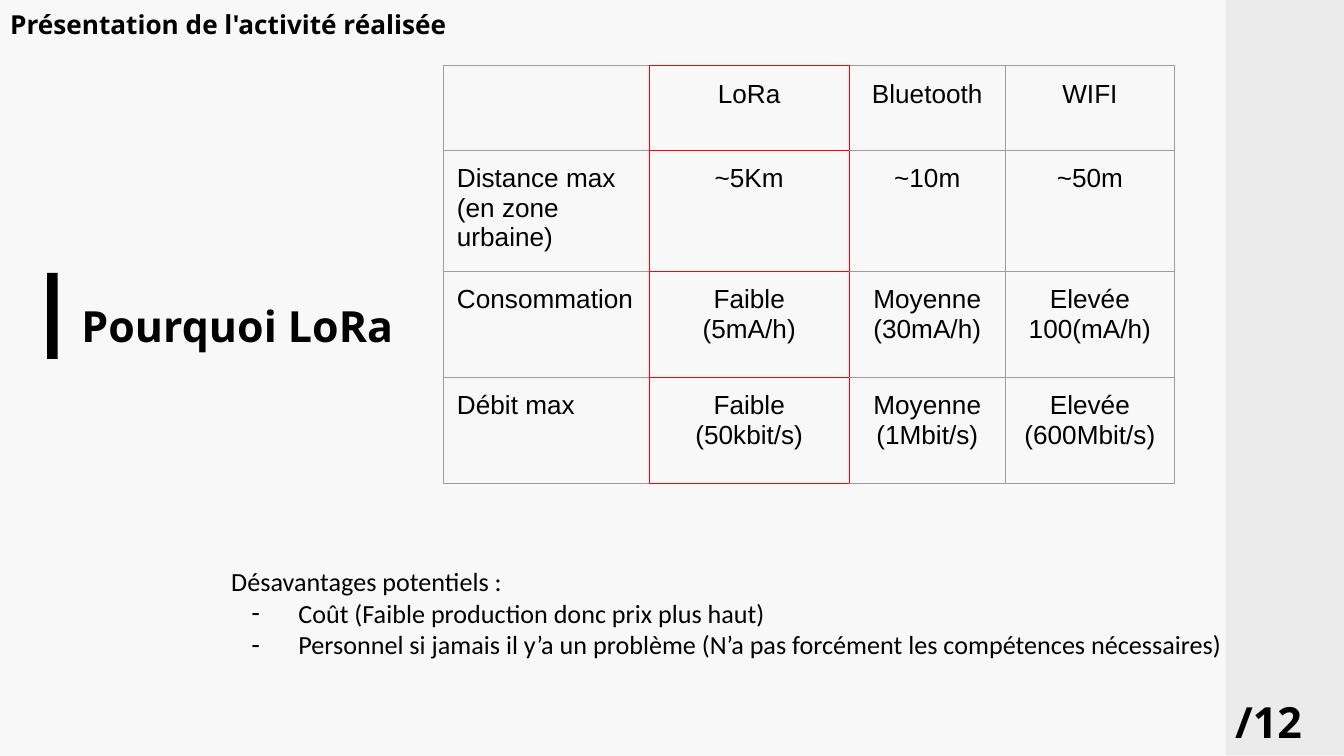
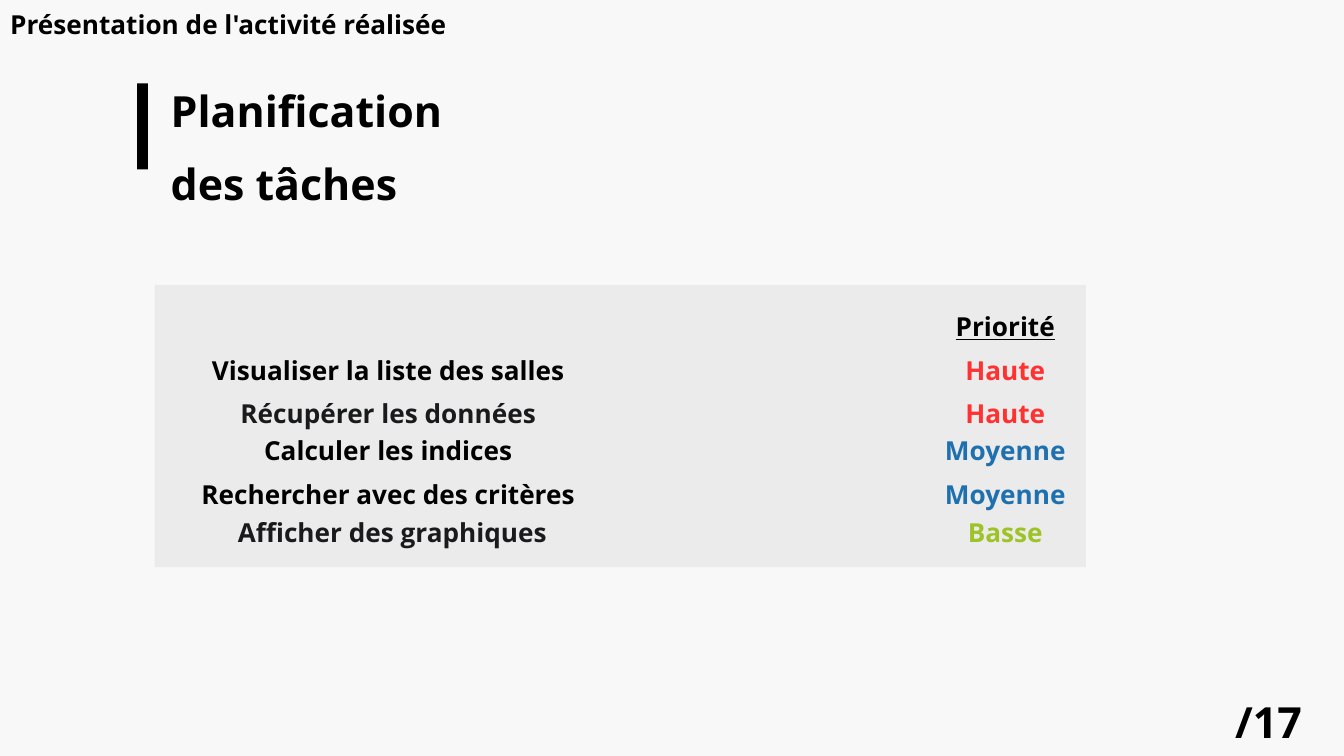
from dataclasses import dataclass
from typing import Optional

from lxml import etree
from pptx import Presentation
from pptx.dml.color import RGBColor
from pptx.enum.shapes import MSO_SHAPE
from pptx.enum.text import MSO_ANCHOR, MSO_AUTO_SIZE, PP_ALIGN
from pptx.oxml.ns import qn
from pptx.util import Inches, Pt

RECT = MSO_SHAPE.RECTANGLE
TOP = MSO_ANCHOR.TOP
GROW = MSO_AUTO_SIZE.SHAPE_TO_FIT_TEXT
LEFT, CENTER, RIGHT = PP_ALIGN.LEFT, PP_ALIGN.CENTER, PP_ALIGN.RIGHT

PAPER = RGBColor(0xF8, 0xF8, 0xF8)
BLACK = RGBColor(0x00, 0x00, 0x00)
INK = RGBColor(0x18, 0x1A, 0x1B)
GREY = RGBColor(0x9E, 0x9E, 0x9E)
RED = RGBColor(0xFF, 0x00, 0x00)
HIGH = RGBColor(0xFF, 0x31, 0x31)
MEDIUM = RGBColor(0x1E, 0x70, 0xAF)
LOW = RGBColor(0x9E, 0xC3, 0x27)

HEAD_FONT, TABLE_FONT, LIST_FONT = "Open Sans", "Arial", "Calibri"
TITLE_SIZE, TEXT_SIZE = 23, 14
TITLE_CONTENT, TITLE_ONLY = 1, 5
SLIDE_WIDTH = Inches(10)
SLIDE_HEIGHT = SLIDE_WIDTH * 9 // 16


@dataclass(frozen=True)
class Box:
    left: float
    top: float
    width: float
    height: float


@dataclass(frozen=True)
class Line:
    text: str
    color: RGBColor = BLACK


@dataclass(frozen=True)
class TaskGroup:
    tasks: tuple[Line, ...]
    priority: Line
    top: float
    left: float = 0.81


HEADING = Box(0, -0.03, 3.4, 0.24)
PAGE = Box(9.19, 5.02, 0.5, 0.39)
SIDE_BAND = Box(9.12, 0, 0.88, 5.62)
TASK_PANEL = Box(1.15, 2.12, 6.93, 2.1)
PRIORITY_LEFT, TASK_WIDTH = 5.4, 4.16

COLUMNS = (1.53, 1.49, 1.16, 1.26)
ROWS = (0.63, 0.63, 0.79, 0.79)
LORA = 1
COMPARISON = (
    ("", "LoRa", "Bluetooth", "WIFI"),
    ("Distance max (en zone urbaine)", "~5Km", "~10m", "~50m"),
    ("Consommation", "Faible\n(5mA/h)", "Moyenne\n(30mA/h)", "Elevée\n100(mA/h)"),
    ("Débit max", "Faible\n(50kbit/s)", "Moyenne\n(1Mbit/s)", "Elevée\n(600Mbit/s)"),
)
DRAWBACKS = (
    "Désavantages potentiels :",
    "Coût (Faible production donc prix plus haut)",
    "Personnel si jamais il y’a un problème (N’a pas forcément les compétences nécessaires)",
)
TASK_GROUPS = (
    TaskGroup((Line("Visualiser la liste des salles"), Line("Récupérer les données", INK)),
              Line("Haute", HIGH), 2.54),
    TaskGroup((Line("Calculer les indices"), Line("Rechercher avec des critères")),
              Line("Moyenne", MEDIUM), 3.14),
    TaskGroup((Line("Afficher des graphiques", INK),), Line("Basse", LOW), 3.75, 0.84),
)


def place(sp, box: Box) -> None:
    sp.left, sp.top = Inches(box.left), Inches(box.top)
    sp.width, sp.height = Inches(box.width), Inches(box.height)


def write_text(tf, lines, *, font: str = HEAD_FONT, size: float = TEXT_SIZE,
               bold: bool = True, underline: bool = False, align=CENTER,
               spacing: float = 1.4) -> None:
    for i, line in enumerate(lines):
        p = tf.add_paragraph() if i else tf.paragraphs[0]
        p.alignment, p.line_spacing = align, spacing
        p.space_before = p.space_after = Pt(0)
        r = p.add_run()
        r.text = line.text
        r.font.name, r.font.size, r.font.bold = font, Pt(size), bold
        r.font.color.rgb = line.color
        if underline:
            r.font.underline = True


def set_frame(tf, margin: float = 0) -> None:
    tf.word_wrap, tf.auto_size, tf.vertical_anchor = True, GROW, TOP
    tf.margin_left = tf.margin_right = Inches(margin)
    tf.margin_top = tf.margin_bottom = Inches(margin)


def add_text(s, box: Box, *lines: Line, **fmt) -> None:
    sp = s.shapes.add_textbox(0, 0, 0, 0)
    place(sp, box)
    set_frame(sp.text_frame)
    write_text(sp.text_frame, lines, **fmt)


def add_rect(s, box: Box, alpha: Optional[int] = None, rotation: float = 0) -> None:
    sp = s.shapes.add_shape(RECT, 0, 0, 0, 0)
    place(sp, box)
    sp.rotation = rotation
    sp.shadow.inherit = False
    sp.fill.solid()
    sp.fill.fore_color.rgb = BLACK
    sp.line.fill.background()
    if alpha is not None:
        color = sp.fill._xPr.find(f"{qn('a:solidFill')}/{qn('a:srgbClr')}")
        etree.SubElement(color, qn("a:alpha"), val=str(alpha * 1000))


def set_title(s, text: str, box: Box, bar_left: float, bar_top: float, **fmt) -> None:
    title = s.shapes.title
    place(title, box)
    set_frame(title.text_frame)
    write_text(title.text_frame, [Line(text)], size=TITLE_SIZE, **fmt)
    add_rect(s, Box(bar_left, bar_top, 0.64, 0.08), rotation=270)


def add_frame(s, page: str) -> None:
    add_text(s, HEADING, Line("Présentation de l'activité réalisée"))
    add_text(s, PAGE, Line(page), size=TITLE_SIZE, align=LEFT)


def set_borders(cell, colors: dict[str, RGBColor]) -> None:
    tc_pr = cell._tc.get_or_add_tcPr()
    for side in "LRTB":
        ln = etree.SubElement(tc_pr, qn(f"a:ln{side}"), w=str(Pt(0.75)))
        fill = etree.SubElement(ln, qn("a:solidFill"))
        etree.SubElement(fill, qn("a:srgbClr"), val=str(colors.get(side, GREY)))


def add_comparison(s) -> None:
    table = s.shapes.add_table(len(ROWS), len(COLUMNS), Inches(3.3), Inches(0.49),
                               Inches(sum(COLUMNS)), Inches(sum(ROWS))).table
    table.first_row = table.horz_banding = False
    for column, width in zip(table.columns, COLUMNS):
        column.width = Inches(width)
    borders = {LORA - 1: {"R": RED}, LORA: dict.fromkeys("LRTB", RED), LORA + 1: {"L": RED}}
    for i, texts in enumerate(COMPARISON):
        table.rows[i].height = Inches(ROWS[i])
        for j, text in enumerate(texts):
            cell = table.cell(i, j)
            cell.margin_left = cell.margin_right = Inches(0.1)
            cell.margin_top = cell.margin_bottom = Inches(0.1)
            set_borders(cell, borders.get(j, {}))
            cell.fill.background()
            if text:
                write_text(cell.text_frame, [Line(t) for t in text.split("\n")],
                           font=TABLE_FONT, bold=False, spacing=1.0,
                           align=CENTER if j else LEFT)


def set_drawbacks(s) -> None:
    body = s.placeholders[1]
    place(body, Box(1.62, 4.11, 7.61, 0.91))
    tf = body.text_frame
    set_frame(tf, 0.1)
    write_text(tf, [Line(t) for t in DRAWBACKS], font=LIST_FONT, bold=False,
               align=LEFT, spacing=1.0)
    for i, p in enumerate(tf.paragraphs):
        p_pr = p._p.get_or_add_pPr()
        p_pr.set("marL", str(Inches(0.5 if i else 0)))
        p_pr.set("indent", str(Inches(-0.35 if i else 0)))
        if i:
            color = etree.SubElement(p_pr, qn("a:buClr"))
            etree.SubElement(color, qn("a:srgbClr"), val=str(BLACK))
            etree.SubElement(p_pr, qn("a:buChar"), char="-")
        else:
            etree.SubElement(p_pr, qn("a:buNone"))


def build_lora(prs) -> None:
    s = prs.slides.add_slide(prs.slide_layouts[TITLE_CONTENT])
    add_rect(s, SIDE_BAND, alpha=5)
    set_title(s, "Pourquoi LoRa", Box(-0.67, 2.15, 3.6, 0.39), 0.07, 2.31,
              align=RIGHT, spacing=1.2)
    add_comparison(s)
    set_drawbacks(s)
    add_frame(s, "/12")


def build_planning(prs) -> None:
    s = prs.slides.add_slide(prs.slide_layouts[TITLE_ONLY])
    add_rect(s, TASK_PANEL, alpha=5)
    set_title(s, "Planification des tâches", Box(1.27, 0.48, 2.53, 0.86), 0.74, 0.9,
              align=LEFT)
    add_text(s, Box(PRIORITY_LEFT, 2.22, TASK_WIDTH, 0.24), Line("Priorité"), underline=True)
    for group in TASK_GROUPS:
        count = len(group.tasks)
        height = 0.28 * count
        add_text(s, Box(group.left, group.top, TASK_WIDTH, height), *group.tasks)
        add_text(s, Box(PRIORITY_LEFT, group.top, TASK_WIDTH, height),
                 *[group.priority] * count)
    add_frame(s, "/17")


def main() -> None:
    prs = Presentation()
    prs.slide_width, prs.slide_height = SLIDE_WIDTH, SLIDE_HEIGHT
    fill = prs.slide_master.background.fill
    fill.solid()
    fill.fore_color.rgb = PAPER
    build_lora(prs)
    build_planning(prs)
    prs.save("out.pptx")


if __name__ == "__main__":
    main()
